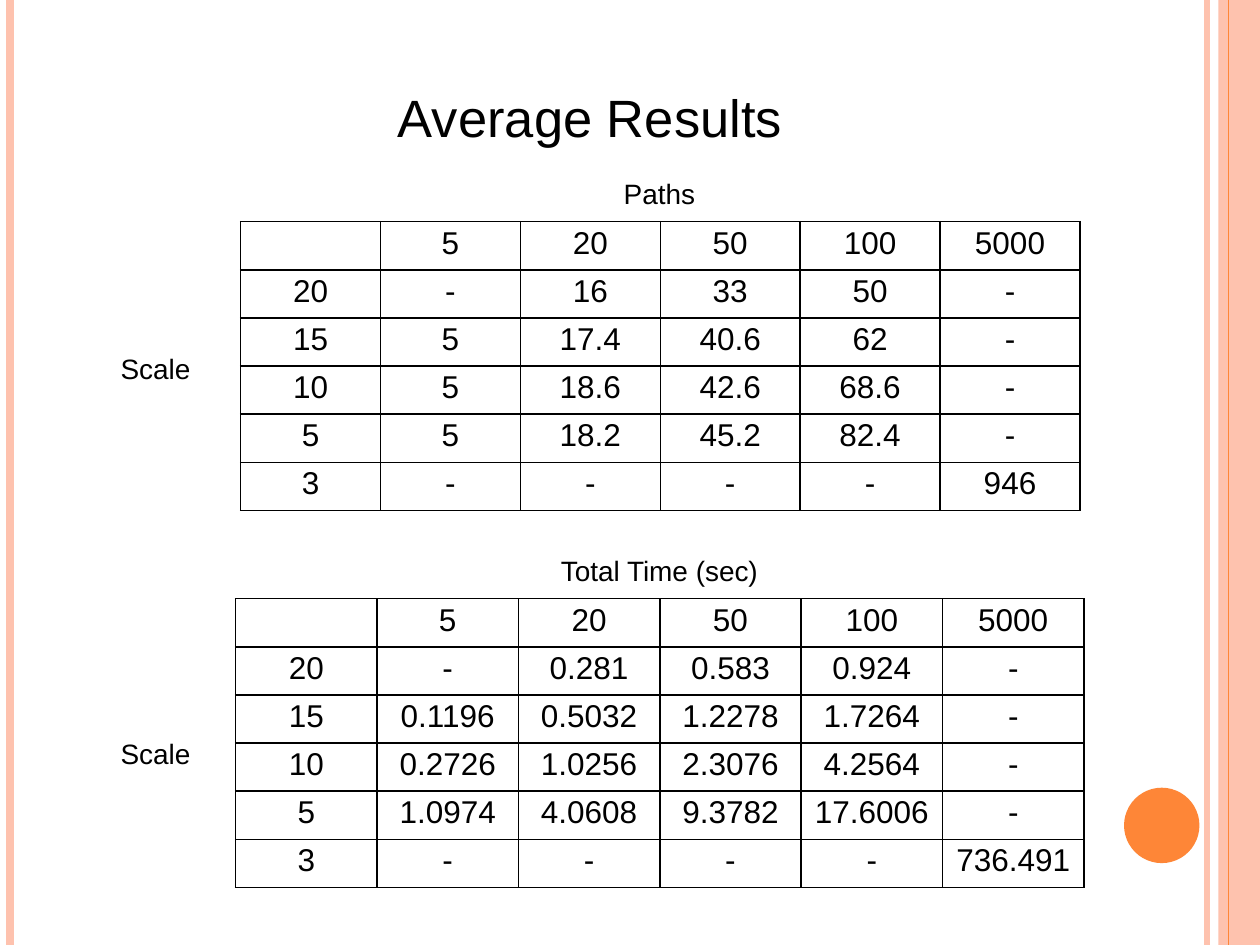
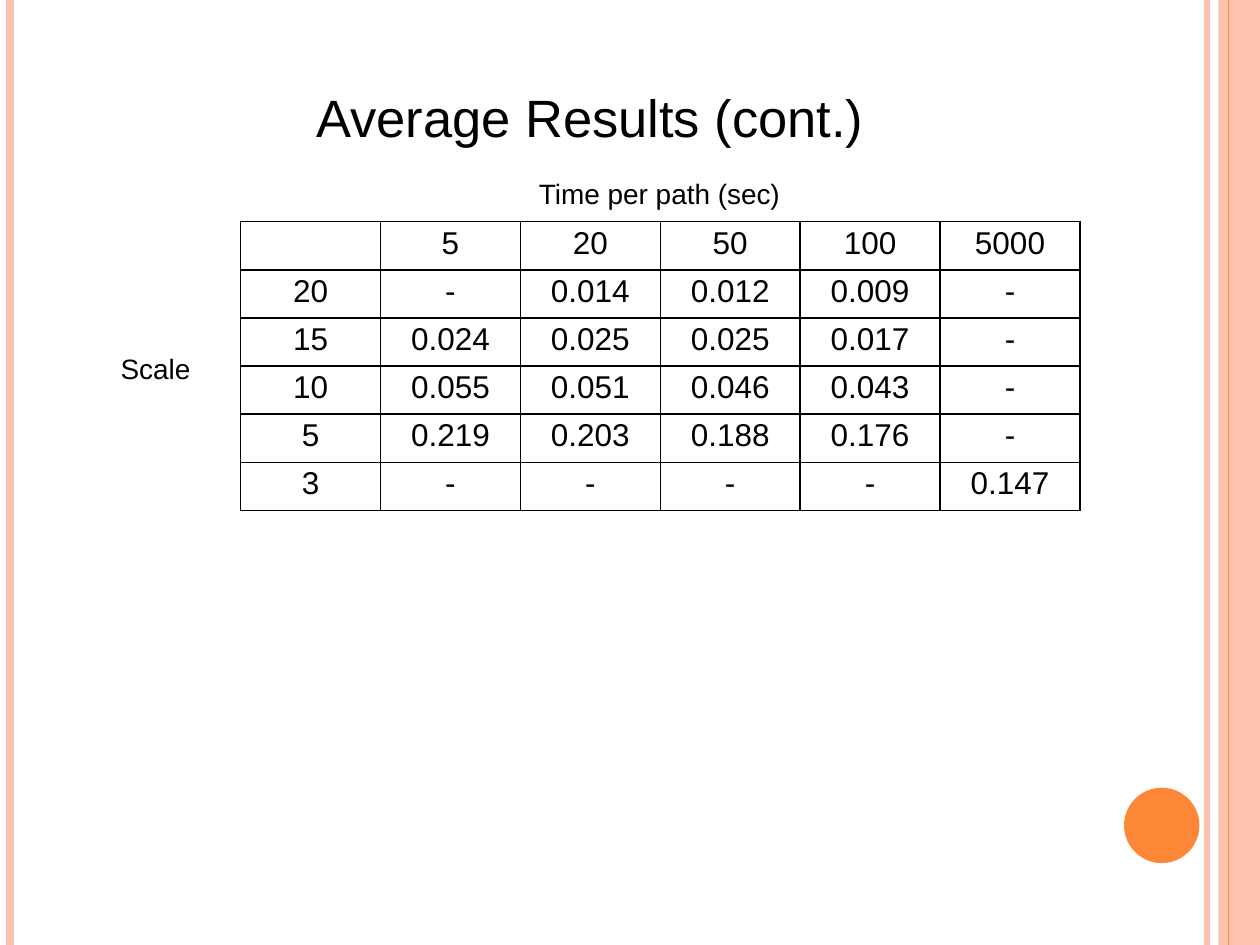
import dataclasses

import lxml.etree
import pptx
import pptx.dml.color
import pptx.enum.shapes
import pptx.enum.text
import pptx.oxml.ns
import pptx.util

Cm = pptx.util.Cm
Pt = pptx.util.Pt
qn = pptx.oxml.ns.qn
RGB = pptx.dml.color.RGBColor.from_string
SHAPE = pptx.enum.shapes.MSO_SHAPE


@dataclasses.dataclass(frozen=True)
class Theme:
    """Colours, font and type sizes of the deck."""
    ink: str = "000000"
    pale: str = "FEC2AE"
    warm: str = "FE8637"
    font: str = "Arial"
    title: int = 30
    label: int = 16
    cell: int = 18


THEME = Theme()
WIDE, HIGH = 25.4, 19.05
TAG_W, TAG_H = 3.23, 1.14
TAG_X, HEAD_X = 1.52, 11.68
ROW_H = 0.97

HEAD = ["", "5", "20", "50", "100", "5000"]
PATHS = [
    HEAD,
    ["20", "-", "16", "33", "50", "-"],
    ["15", "5", "17.4", "40.6", "62", "-"],
    ["10", "5", "18.6", "42.6", "68.6", "-"],
    ["5", "5", "18.2", "45.2", "82.4", "-"],
    ["3", "-", "-", "-", "-", "946"],
]
TOTAL = [
    HEAD,
    ["20", "-", "0.281", "0.583", "0.924", "-"],
    ["15", "0.1196", "0.5032", "1.2278", "1.7264", "-"],
    ["10", "0.2726", "1.0256", "2.3076", "4.2564", "-"],
    ["5", "1.0974", "4.0608", "9.3782", "17.6006", "-"],
    ["3", "-", "-", "-", "-", "736.491"],
]
EACH = [
    HEAD,
    ["20", "-", "0.014", "0.012", "0.009", "-"],
    ["15", "0.024", "0.025", "0.025", "0.017", "-"],
    ["10", "0.055", "0.051", "0.046", "0.043", "-"],
    ["5", "0.219", "0.203", "0.188", "0.176", "-"],
    ["3", "-", "-", "-", "-", "0.147"],
]


def write(frame, text, size):
    """Put centred text in a frame and format its runs."""
    frame.text = text
    for para in frame.paragraphs:
        para.alignment = pptx.enum.text.PP_ALIGN.CENTER
        for run in para.runs:
            run.font.name = THEME.font
            run.font.size = Pt(size)
            run.font.bold = False
            run.font.color.rgb = RGB(THEME.ink)


def plain(frame):
    """Strip insets and wrapping, and centre the text upright."""
    frame.margin_left = frame.margin_right = 0
    frame.margin_top = frame.margin_bottom = 0
    frame.word_wrap = False
    frame.auto_size = pptx.enum.text.MSO_AUTO_SIZE.NONE
    frame.vertical_anchor = pptx.enum.text.MSO_ANCHOR.MIDDLE


def label(slide, text, left, top):
    """Add a small centred label."""
    box = slide.shapes.add_textbox(Cm(left), Cm(top), Cm(TAG_W), Cm(TAG_H))
    plain(box.text_frame)
    write(box.text_frame, text, THEME.label)


def rule(slide, left, width, tone):
    """Draw an upright line over the full slide height."""
    line = slide.shapes.add_connector(
        pptx.enum.shapes.MSO_CONNECTOR.STRAIGHT,
        Cm(left), 0, Cm(left), Cm(HIGH))
    line.line.width = Pt(width)
    line.line.color.rgb = RGB(tone)
    props = line._element.find(qn("p:spPr"))
    lxml.etree.SubElement(props, qn("a:effectLst"))


def block(slide, kind, left, top, width, height, tone):
    """Draw a flat filled shape without an outline."""
    shape = slide.shapes.add_shape(
        kind, Cm(left), Cm(top), Cm(width), Cm(height))
    shape.shadow.inherit = False
    shape.fill.solid()
    shape.fill.fore_color.rgb = RGB(tone)
    shape.line.fill.background()


def frame(slide):
    """Draw the side bands and the dot that every slide has."""
    rule(slide, 24.33, 3, THEME.pale)
    rule(slide, 0.21, 4.5, THEME.pale)
    block(slide, SHAPE.RECTANGLE, 24.56, 0, 0.84, HIGH, THEME.pale)
    rule(slide, 24.77, 0.75, THEME.warm)
    block(slide, SHAPE.OVAL, 22.66, 15.88, 1.52, 1.52, THEME.warm)


def edge(cell):
    """Give a cell thin borders on all four sides."""
    props = cell._tc.get_or_add_tcPr()
    for side in ("a:lnL", "a:lnR", "a:lnT", "a:lnB"):
        line = lxml.etree.SubElement(props, qn(side), w=str(Pt(1)))
        fill = lxml.etree.SubElement(line, qn("a:solidFill"))
        lxml.etree.SubElement(fill, qn("a:srgbClr"), val=THEME.ink)


def grid(slide, name, data, left, top, col, drop):
    """Add a table with its heading above and the scale label beside it."""
    rows, cols = len(data), len(data[0])
    table = slide.shapes.add_table(
        rows, cols, Cm(left), Cm(top), Cm(col * cols), Cm(ROW_H * rows)).table
    table.first_row = table.horz_banding = False
    for part in table.columns:
        part.width = Cm(col)
    for i, row in enumerate(data):
        table.rows[i].height = Cm(ROW_H)
        for j, text in enumerate(row):
            cell = table.cell(i, j)
            cell.margin_left = cell.margin_right = Cm(0.1)
            cell.margin_top = cell.margin_bottom = Cm(0.08)
            write(cell.text_frame, text, THEME.cell)
            edge(cell)
            cell.fill.background()
    label(slide, name, HEAD_X, top - TAG_H)
    label(slide, "Scale", TAG_X, top + drop)


def page(deck, text):
    """Add a slide with its bands and title."""
    slide = deck.slides.add_slide(deck.slide_layouts[5])
    frame(slide)
    title = slide.shapes.title
    title.left, title.top = Cm(1.52), Cm(0.76)
    title.width, title.height = Cm(20.75), Cm(3.18)
    plain(title.text_frame)
    write(title.text_frame, text, THEME.title)
    return slide


def main():
    """Build and save the deck."""
    deck = pptx.Presentation()
    deck.slide_width, deck.slide_height = Cm(WIDE), Cm(HIGH)

    slide = page(deck, "Average Results")
    grid(slide, "Paths", PATHS, 4.85, 4.47, 2.82, 2.39)
    grid(slide, "Total Time (sec)", TOTAL, 4.75, 12.07, 2.85, 2.54)

    slide = page(deck, "Average Results (cont.)")
    grid(slide, "Time per path (sec)", EACH, 4.85, 4.47, 2.82, 2.39)

    deck.save("out.pptx")


main()
